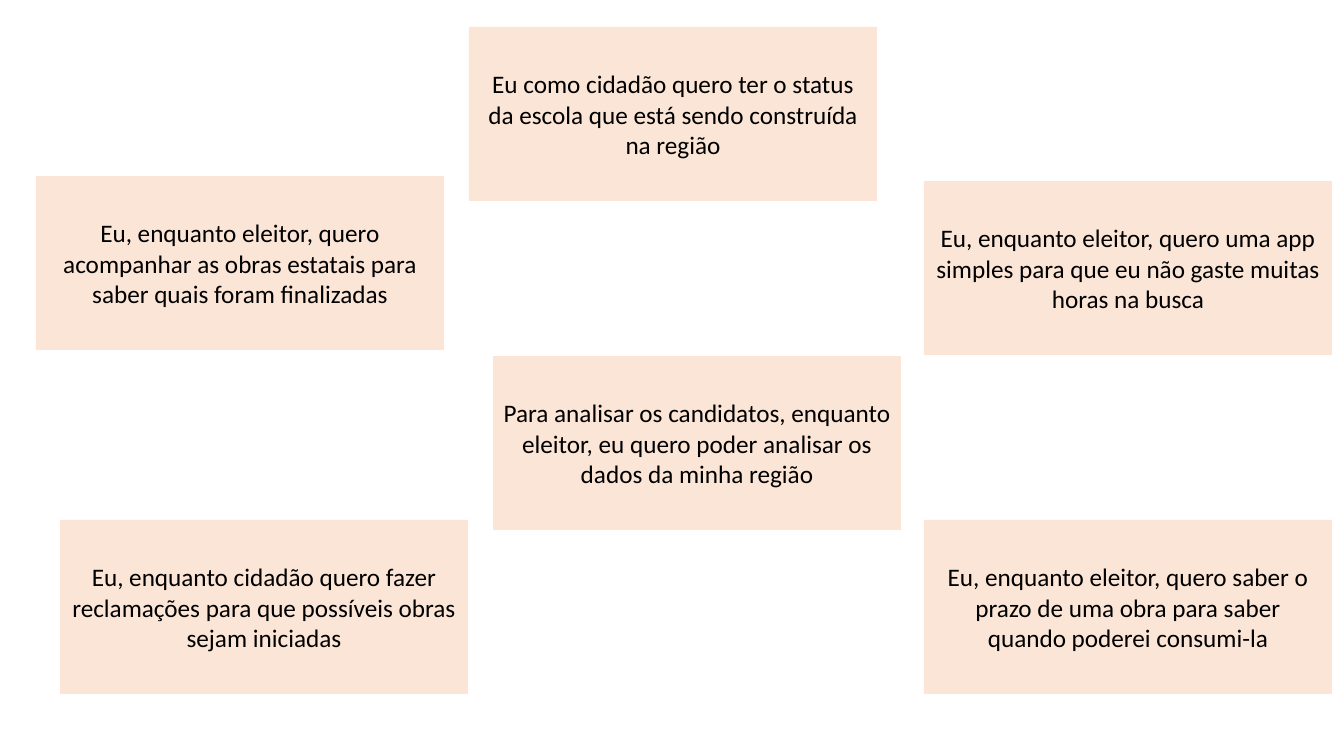
"""Build a slide of six user stories written on peach cards."""
from pptx import Presentation
from pptx import util as u
from pptx.dml.color import RGBColor
from pptx.enum import shapes, text

PEACH = RGBColor(0xFB, 0xE5, 0xD6)
BLACK = RGBColor(0x00, 0x00, 0x00)
CARD_WIDTH, CARD_HEIGHT = 408, 174


def px(length):
    return u.Inches(length / 100.8)


deck = Presentation()
deck.slide_width, deck.slide_height = px(1344), px(756)
slide = deck.slides.add_slide(deck.slide_layouts[6])

user_stories = [
    (469, 27, "Eu como cidadão quero ter o status da escola que está sendo construída na região"),
    (36, 176, "Eu, enquanto eleitor, quero acompanhar as obras estatais para saber quais foram finalizadas"),
    (924, 181, "Eu, enquanto eleitor, quero uma app simples para que eu não gaste muitas horas na busca"),
    (493, 356, "Para analisar os candidatos, enquanto eleitor, eu quero poder analisar os dados da minha região"),
    (60, 520, "Eu, enquanto cidadão quero fazer reclamações para que possíveis obras sejam iniciadas"),
    (924, 520, "Eu, enquanto eleitor, quero saber o prazo de uma obra para saber quando poderei consumi-la"),
]

for left, top, story in user_stories:
    card = slide.shapes.add_shape(
        shapes.MSO_SHAPE.RECTANGLE, px(left), px(top), px(CARD_WIDTH), px(CARD_HEIGHT))
    card.shadow.inherit = False
    card.fill.solid()
    card.fill.fore_color.rgb = PEACH
    card.line.fill.background()
    frame = card.text_frame
    frame.word_wrap = True
    frame.vertical_anchor = text.MSO_ANCHOR.MIDDLE
    sentence = frame.paragraphs[0]
    sentence.text = story
    sentence.alignment = text.PP_ALIGN.CENTER
    sentence.font.name = "Calibri"
    sentence.font.size = u.Pt(18)
    sentence.font.color.rgb = BLACK

deck.save("out.pptx")
